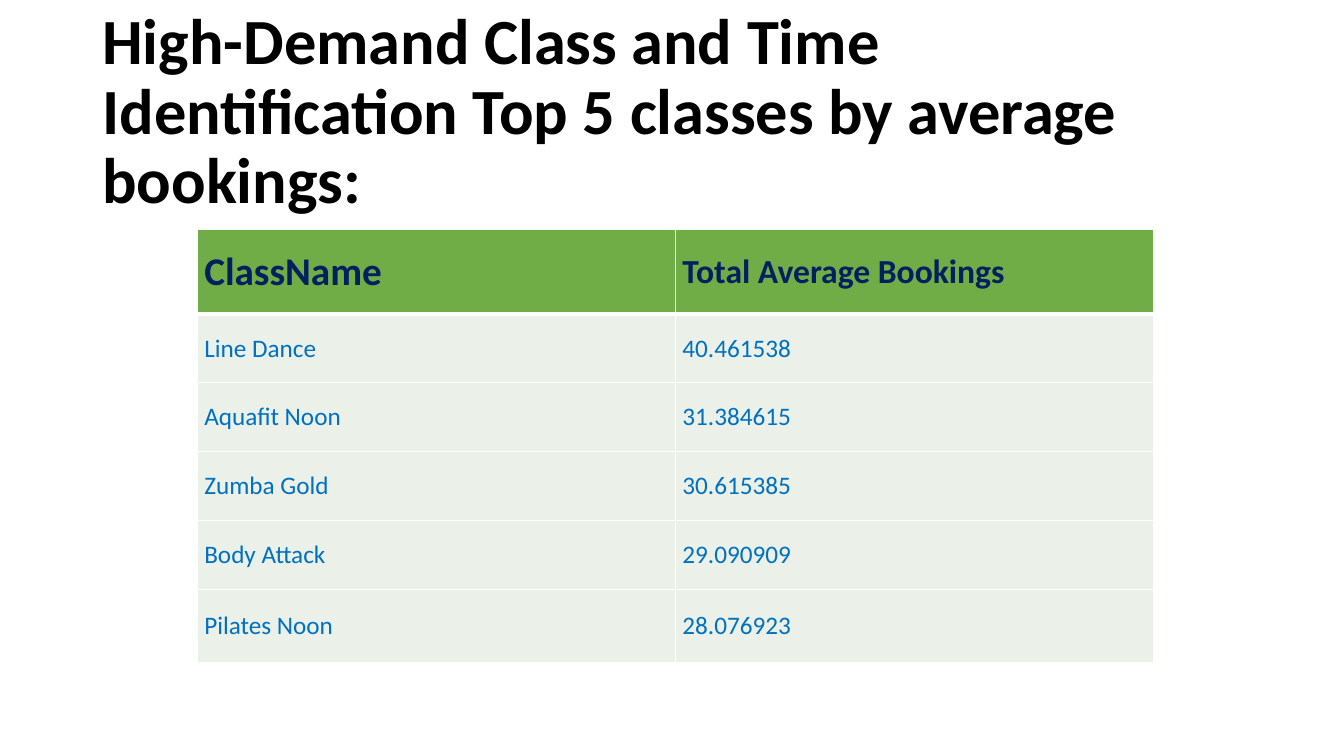
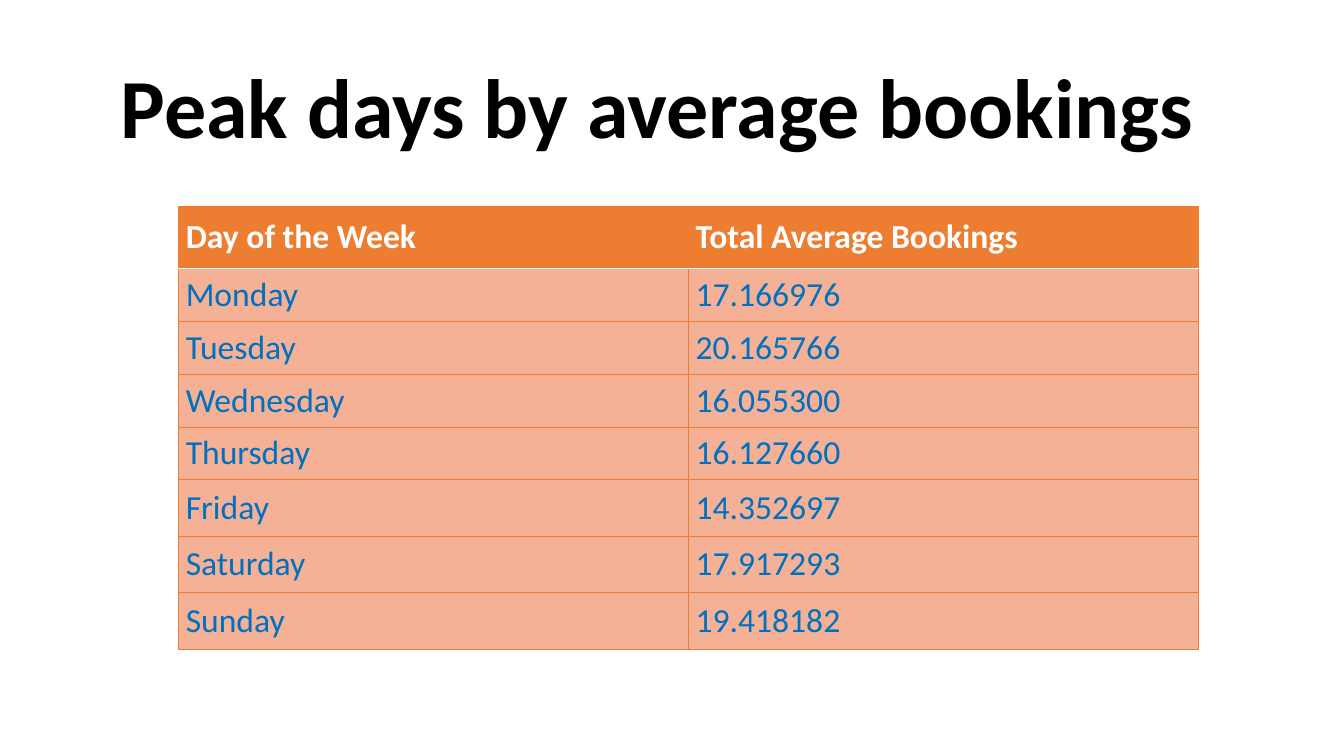
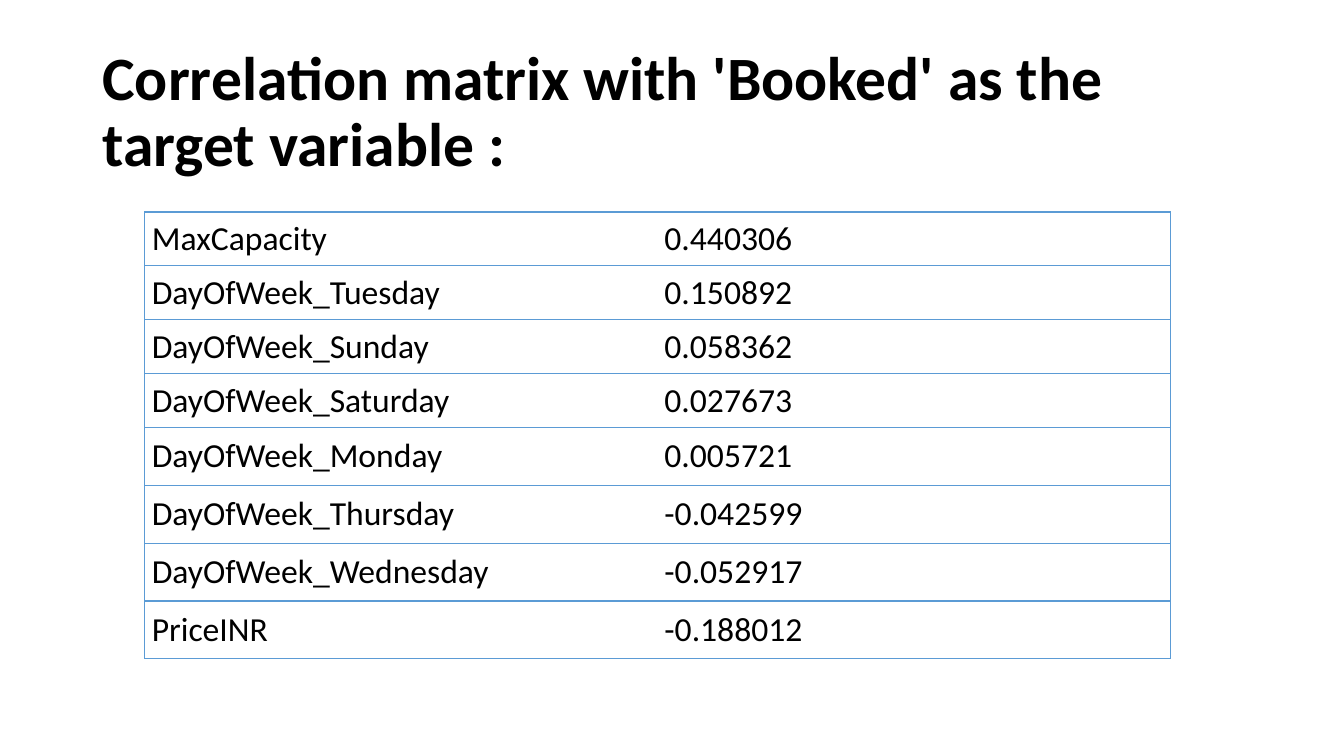
from dataclasses import dataclass

from lxml.etree import SubElement
from pptx import Presentation
from pptx.dml.color import RGBColor
from pptx.enum.text import MSO_ANCHOR
from pptx.oxml.ns import qn
from pptx.util import Inches, Pt

SLIDE_WIDTH = Inches(13.33)
SLIDE_HEIGHT = Inches(7.5)
FONT = "Calibri"

BLACK = RGBColor(0x00, 0x00, 0x00)
WHITE = RGBColor(0xFF, 0xFF, 0xFF)
NAVY = RGBColor(0x00, 0x20, 0x60)
BLUE = RGBColor(0x00, 0x70, 0xC0)
SKY = RGBColor(0x5B, 0x9B, 0xD5)
GREEN = RGBColor(0x70, 0xAD, 0x47)
PALE_GREEN = RGBColor(0xEB, 0xF1, 0xE9)
ORANGE = RGBColor(0xED, 0x7D, 0x31)
PALE_ORANGE = RGBColor(0xF4, 0xB1, 0x96)

TITLE_AREA = (6.88, 5.33, 86.25, 19.33)
PEAK_TITLE_AREA = (9, 8.93, 80.1, 11.6)


@dataclass
class Look:
    fill: RGBColor
    color: RGBColor
    sizes: tuple
    bold: bool = False


@dataclass
class Rule:
    color: RGBColor
    points: float


def across(percent):
    return round(SLIDE_WIDTH * percent / 100)


def down(percent):
    return round(SLIDE_HEIGHT * percent / 100)


def style_paragraph(paragraph, size, color, bold):
    for span in paragraph.runs:
        span.font.name = FONT
        span.font.size = Pt(size)
        span.font.bold = bold
        span.font.color.rgb = color


def add_title(page, text, size, area=TITLE_AREA, inset=0.1):
    left, top, width, height = area
    box = page.shapes.add_textbox(across(left), down(top), across(width), down(height))
    frame = box.text_frame
    frame.word_wrap = True
    frame.vertical_anchor = MSO_ANCHOR.MIDDLE
    frame.margin_left = frame.margin_right = Inches(inset)
    frame.margin_top = frame.margin_bottom = Inches(inset / 2)
    frame.text = text
    frame.paragraphs[0].line_spacing = 0.9
    style_paragraph(frame.paragraphs[0], size, BLACK, True)
    return box


def set_borders(cell, left, right, top, bottom):
    properties = cell._tc.get_or_add_tcPr()
    sides = (("a:lnL", left), ("a:lnR", right), ("a:lnT", top), ("a:lnB", bottom))
    for position, (tag, rule) in enumerate(sides):
        line = SubElement(properties, qn(tag))
        properties.insert(position, line)
        if rule is None:
            SubElement(line, qn("a:noFill"))
            continue
        line.set("w", str(Pt(rule.points)))
        fill = SubElement(line, qn("a:solidFill"))
        SubElement(fill, qn("a:srgbClr")).set("val", str(rule.color))


def fill_cell(cell, text, look, size):
    cell.fill.solid()
    cell.fill.fore_color.rgb = look.fill
    cell.vertical_anchor = MSO_ANCHOR.MIDDLE
    cell.margin_left = cell.margin_right = Inches(0.07)
    cell.margin_top = cell.margin_bottom = Inches(0.05)
    cell.text_frame.text = text
    style_paragraph(cell.text_frame.paragraphs[0], size, look.color, look.bold)


def add_data_table(page, place, heights, rows, looks, frame, separator, dividers):
    left, top, width = place
    columns = len(rows[0])
    table = page.shapes.add_table(
        len(rows), columns, across(left), down(top), across(width), down(sum(heights))
    ).table
    table.first_row = table.horz_banding = False
    verticals = [frame] + [separator] * (columns - 1) + [frame]
    horizontals = [frame] + dividers + [frame]
    for r, (values, height, look) in enumerate(zip(rows, heights, looks)):
        table.rows[r].height = down(height)
        for c, (text, size) in enumerate(zip(values, look.sizes)):
            cell = table.cell(r, c)
            fill_cell(cell, text, look, size)
            set_borders(cell, verticals[c], verticals[c + 1],
                        horizontals[r], horizontals[r + 1])


def add_class_page(page):
    add_title(page, "High-Demand Class and Time Identification "
                    "Top 5 classes by average bookings:", 46)
    rows = [
        ("ClassName", "Total Average Bookings"),
        ("Line Dance", "40.461538"),
        ("Aquafit Noon", "31.384615"),
        ("Zumba Gold", "30.615385"),
        ("Body Attack", "29.090909"),
        ("Pilates Noon", "28.076923"),
    ]
    looks = [Look(GREEN, NAVY, (28, 24), True)] + [Look(PALE_GREEN, BLUE, (18, 18))] * 5
    grid = Rule(WHITE, 1)
    add_data_table(page, (14.68, 30.35, 71.15), [11.2] + [9.1] * 4 + [9.73], rows, looks,
                   grid, grid, [Rule(WHITE, 3)] + [grid] * 4)


def add_day_page(page):
    title = add_title(page, "Peak days by average bookings", 60, PEAK_TITLE_AREA, 0)
    title.fill.solid()
    title.fill.fore_color.rgb = WHITE
    rows = [
        ("Day of the Week", "Total Average Bookings"),
        ("Monday", "17.166976"),
        ("Tuesday", "20.165766"),
        ("Wednesday", "16.055300"),
        ("Thursday", "16.127660"),
        ("Friday", "14.352697"),
        ("Saturday", "17.917293"),
        ("Sunday", "19.418182"),
    ]
    looks = [Look(ORANGE, WHITE, (24, 24), True)] + [Look(PALE_ORANGE, BLUE, (24, 24))] * 7
    grid = Rule(ORANGE, 0.5)
    add_data_table(page, (13.3, 27.3, 75.88), [8.25] + [6.98] * 4 + [7.48] * 3, rows, looks,
                   grid, grid, [Rule(WHITE, 1)] + [grid] * 6)


def add_correlation_page(page):
    add_title(page, "Correlation matrix with 'Booked' as the target variable :", 44)
    rows = [
        ("MaxCapacity", "0.440306"),
        ("DayOfWeek_Tuesday", "0.150892"),
        ("DayOfWeek_Sunday", "0.058362"),
        ("DayOfWeek_Saturday", "0.027673"),
        ("DayOfWeek_Monday", "0.005721"),
        ("DayOfWeek_Thursday", "-0.042599"),
        ("DayOfWeek_Wednesday", "-0.052917"),
        ("PriceINR", "-0.188012"),
    ]
    looks = [Look(WHITE, BLACK, (24, 24))] * 8
    frame = Rule(SKY, 1)
    add_data_table(page, (10.77, 28.04, 76.29), [7.13] * 4 + [7.65] * 4, rows, looks,
                   frame, None, [frame] * 7)


def main():
    deck = Presentation()
    deck.slide_width = SLIDE_WIDTH
    deck.slide_height = SLIDE_HEIGHT
    blank = deck.slide_layouts[6]
    for build in (add_class_page, add_day_page, add_correlation_page):
        build(deck.slides.add_slide(blank))
    deck.save("out.pptx")


if __name__ == "__main__":
    main()
